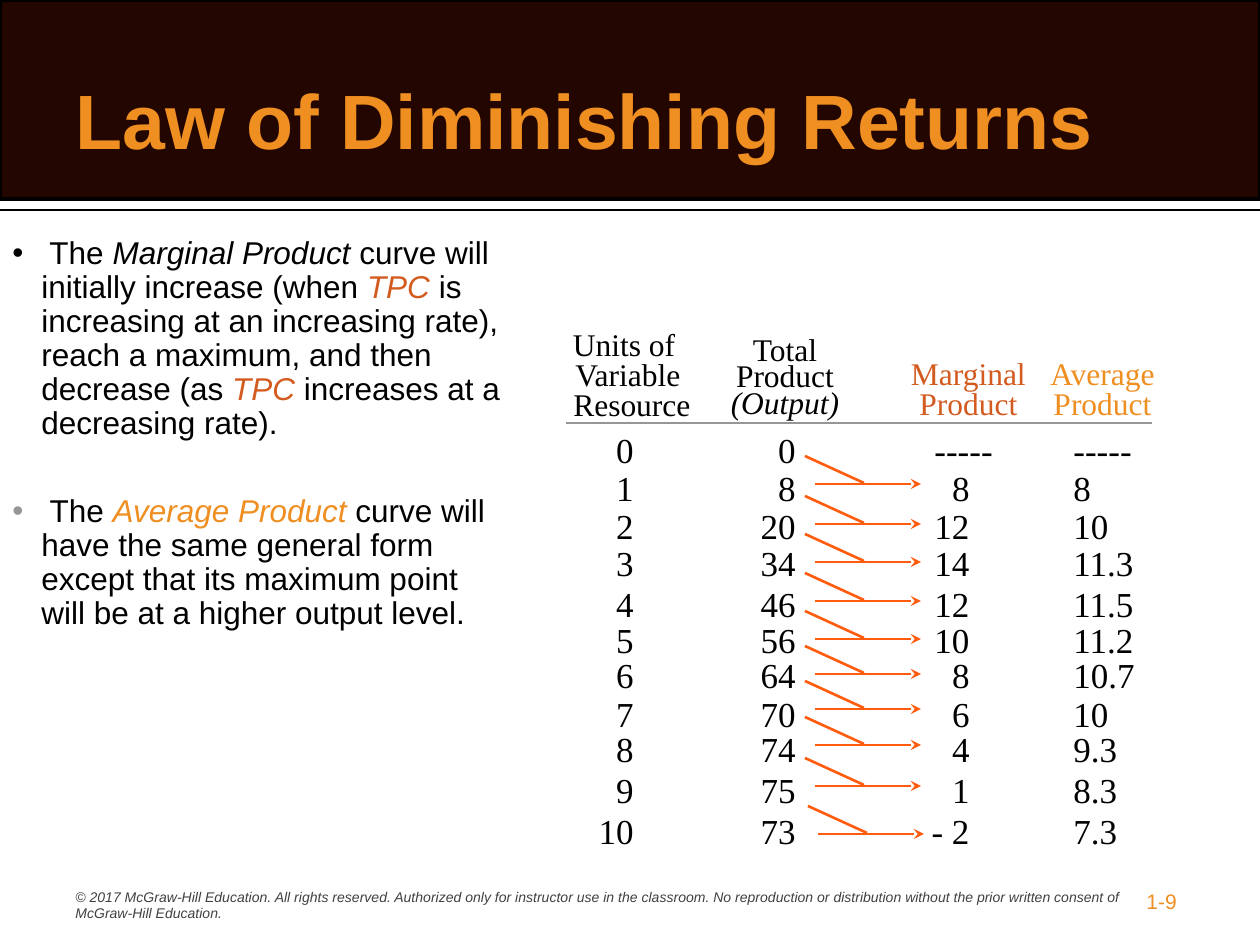
"""Build the Law of Diminishing Returns slide."""
from lxml.etree import SubElement
from pptx import Presentation
from pptx.dml.color import RGBColor
from pptx.enum.shapes import MSO_CONNECTOR as CONN, MSO_SHAPE as SHAPE
from pptx.enum.text import MSO_ANCHOR as ANCHOR, PP_ALIGN as ALIGN
from pptx.oxml.ns import qn
from pptx.util import Pt

PX = 914400 // 126
COLORS = {
    "black": "000000", "dark": "230600", "orange": "EF8E21", "rust": "D35B1F",
    "gray": "969696", "footer": "404040", "arrow": "FF5D0D",
}
SERIF = "Times New Roman"


def add_text(box, lines, size, font="Arial", align=ALIGN.LEFT, spacing=None, wrap=True):
    """Add a text box of lines, each a list of (text, color, style) runs."""
    tf = s.shapes.add_textbox(*[v * PX for v in box]).text_frame
    tf.word_wrap = wrap
    p = tf.paragraphs[0]
    p.alignment = align
    p.line_spacing = spacing
    for i, line in enumerate(lines):
        if i:
            p.add_line_break()
        for text, color, style in line:
            r = p.add_run()
            r.text = text
            r.font.name = font
            r.font.size = Pt(size)
            r.font.bold = "b" in style
            r.font.italic = "i" in style
            r.font.color.rgb = RGBColor.from_string(COLORS[color])
    return tf


def add_line(x1, y1, x2, y2, color, width, arrow=False):
    """Add a straight line, optionally with an arrowhead at its end."""
    c = s.shapes.add_connector(CONN.STRAIGHT, x1 * PX, y1 * PX, x2 * PX, y2 * PX)
    c.line.color.rgb = RGBColor.from_string(COLORS[color])
    c.line.width = Pt(width)
    if arrow:
        SubElement(c.line._get_or_add_ln(), qn("a:tailEnd"), type="stealth")
    SubElement(c._element.spPr, qn("a:effectLst"))


prs = Presentation()
prs.slide_width = 1260 * PX
prs.slide_height = 945 * PX
s = prs.slides.add_slide(prs.slide_layouts[6])

add_line(0, 210, 1260, 210, "black", 1)
band = s.shapes.add_shape(SHAPE.RECTANGLE, 0, 0, 1260 * PX, 199 * PX)
band.shadow.inherit = False
band.fill.solid()
band.fill.fore_color.rgb = RGBColor.from_string(COLORS["dark"])
band.line.color.rgb = RGBColor.from_string(COLORS["black"])
band.line.width = Pt(2)
tf = add_text((63, 40, 1134, 158), [[("Law of Diminishing Returns", "orange", "b")]], 44)
tf.vertical_anchor = ANCHOR.MIDDLE

bullets = [
    ((0, 231, 553, 219), "black", [
        (" The ", "black", ""),
        ("Marginal Product ", "black", "i"),
        ("curve will initially increase (when ", "black", ""),
        ("TPC ", "rust", "i"),
        ("is increasing at an increasing rate), reach a maximum, and then decrease (as ", "black", ""),
        ("TPC ", "rust", "i"),
        ("increases at a decreasing rate).", "black", ""),
    ]),
    ((0, 489, 500, 150), "gray", [
        (" The ", "black", ""),
        ("Average Product ", "orange", "i"),
        ("curve will have the same general form except that its maximum point "
         "will be at a higher output level.", "black", ""),
    ]),
]
for box, color, runs in bullets:
    tf = add_text(box, [runs], 18, spacing=0.9)
    pPr = tf.paragraphs[0]._p.get_or_add_pPr()
    pPr.set("marL", str(29 * PX))
    pPr.set("indent", str(-29 * PX))
    SubElement(SubElement(pPr, qn("a:buClr")), qn("a:srgbClr"), val=COLORS[color])
    SubElement(pPr, qn("a:buFont"), typeface="Arial")
    SubElement(pPr, qn("a:buChar"), char="•")

headers = [
    ((553, 326, 150, 103), 0.8, "black", [("Units of ", ""), ("Variable", ""), (" Resource", "")]),
    ((718, 334, 134, 92), 0.7, "black", [("Total", ""), ("Product", ""), ("(Output)", "i")]),
    ((898, 355, 141, 74), 0.8, "rust", [("Marginal", ""), ("Product", "")]),
    ((1037, 355, 131, 74), 0.8, "orange", [("Average", ""), ("Product", "")]),
]
for box, spacing, color, lines in headers:
    add_text(box, [[(text, color, style)] for text, style in lines], 18,
             SERIF, ALIGN.CENTER, spacing, False)
add_line(566, 423, 1152, 423, "gray", 0.75)

row_tops = [422, 460, 498, 535, 576, 612, 647, 686, 721, 762, 803]
columns = [
    (566, 80, ALIGN.RIGHT, ["0", "1", "2", "3", "4", "5", "6", "7", "8", "9", "10"]),
    (728, 80, ALIGN.RIGHT, ["0", "8", "20", "34", "46", "56", "64", "70", "74", "75", "73"]),
    (904, 78, ALIGN.RIGHT, ["", "8", "12", "14", "12", "10", "8", "6", "4", "1", "- 2"]),
    (1061, 110, ALIGN.LEFT,
     ["-----", "8", "10", "11.3", "11.5", "11.2", "10.7", "10", "9.3", "8.3", "7.3"]),
]
for x, width, align, values in columns:
    for y, value in zip(row_tops, values):
        if value:
            add_text((x, y, width, 54), [[(value, "black", "")]], 20, SERIF, align)
add_text((922, row_tops[0], 92, 54), [[("-----", "black", "")]], 20, SERIF)

arrows = [(815, y) for y in (484, 524, 562, 601, 639, 674, 709, 745, 786)] + [(818, 834)]
for x, y in arrows:
    add_line(x, y, x + 106, y, "arrow", 1.5, True)
    add_line(x - 10, y - 28, x + 49, y - 1, "arrow", 1.5)

add_text((63, 882, 1081, 47), [[(
    "© 2017 McGraw-Hill Education. All rights reserved. Authorized only for instructor use "
    "in the classroom. No reproduction or distribution without the prior written consent of "
    "McGraw-Hill Education.", "footer", "i")]], 8)
add_text((1134, 882, 95, 38), [[("1-9", "orange", "")]], 12)

prs.save("out.pptx")
